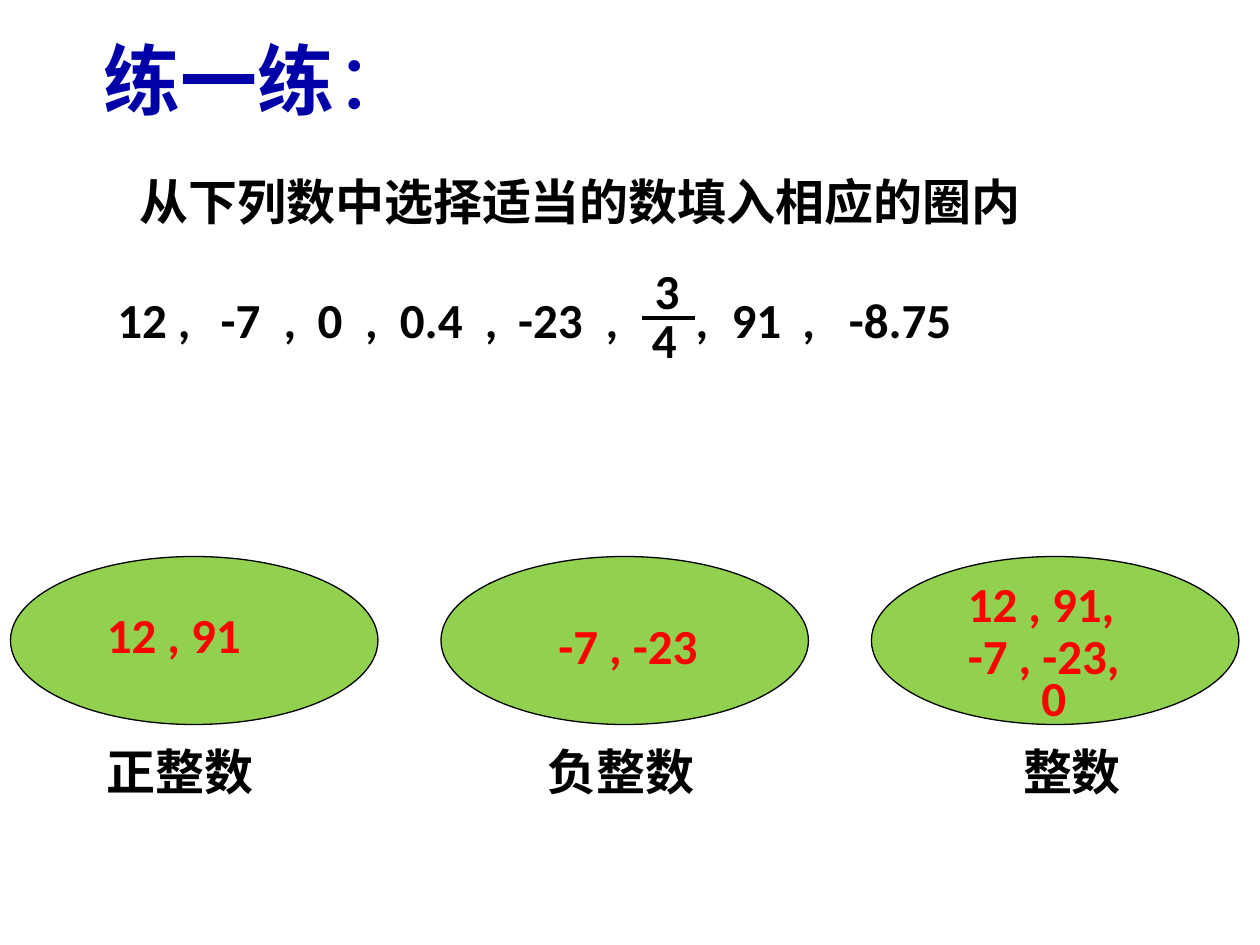
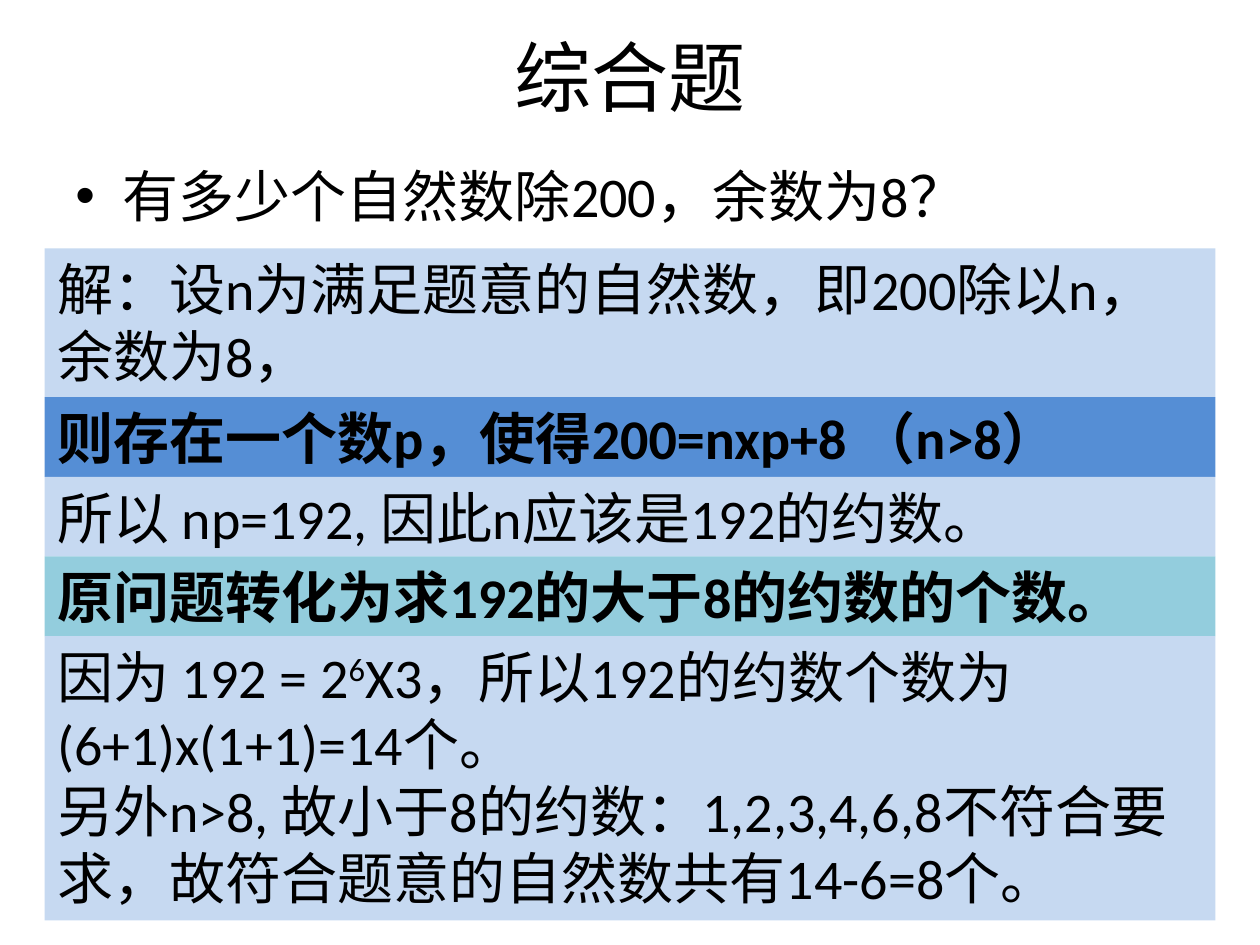
import pptx
import pptx.dml.color
import pptx.enum.shapes
import pptx.enum.text
import pptx.util
import lxml.etree

Pt = pptx.util.Pt
SHAPE = pptx.enum.shapes.MSO_SHAPE
ANCHOR = pptx.enum.text.MSO_ANCHOR
ALIGN = pptx.enum.text.PP_ALIGN
A = "{http://schemas.openxmlformats.org/drawingml/2006/main}"

FONT = "Calibri"
BLACK, NAVY, RED, GREEN = "000000", "0000A8", "FF0000", "92D050"
PALE, BLUE, TEAL = "C6D9F1", "558ED5", "93CDDD"


def rgb(value):
    return pptx.dml.color.RGBColor.from_string(value)


def add_text(s, paragraphs, x, y, w, h, size=28, color=BLACK, bold=False,
             fill=None, wrap=True, title=False):
    """Each paragraph is a list of (text, changes) runs; fill makes it a band."""
    if fill:
        sp = s.shapes.add_shape(SHAPE.RECTANGLE, Pt(x), Pt(y), Pt(w), Pt(h))
        sp.shadow.inherit = False
        sp.fill.solid()
        sp.fill.fore_color.rgb = rgb(fill)
        sp.line.fill.background()
    else:
        sp = s.shapes.add_textbox(Pt(x), Pt(y), Pt(w), Pt(h))
    tf = sp.text_frame
    tf.word_wrap = wrap
    tf.vertical_anchor = ANCHOR.MIDDLE if title else ANCHOR.TOP
    for i, runs in enumerate(paragraphs):
        p = tf.add_paragraph() if i else tf.paragraphs[0]
        p.alignment = ALIGN.CENTER if title else ALIGN.LEFT
        for text, changes in runs:
            r = p.add_run()
            r.text = text
            r.font.name = FONT
            r.font.size = Pt(size)
            r.font.bold = changes.get("bold", bold)
            r.font.color.rgb = rgb(color)
            if changes.get("superscript"):
                r.font._element.set("baseline", "30000")
    return tf


prs = pptx.Presentation()
prs.slide_width, prs.slide_height = Pt(720), Pt(540)
blank = prs.slide_layouts[6]
title_style = dict(size=44, title=True)

# Slide 1: sorting numbers into ovals
s = prs.slides.add_slide(blank)
add_text(s, [[("练一练", {}), ("：", {"bold": False})]], 25, 0, 245, 90,
         color=NAVY, bold=True, **title_style)

# Task and number row, the numbers and commas set on tab stops
numbers = "12 ,\t-7\t,\t0\t,\t0.4\t,\t-23\t,\t,\t91\t,\t-8.75"
tf = add_text(s, [[("从下列数中选择适当的数填入相应的圈内", {})], [(numbers, {})]],
              60, 94.5, 612, 108.5, bold=True)
task, row = tf.paragraphs
task._p.get_or_add_pPr().set("indent", str(Pt(12.7)))
row.space_before = Pt(34)
tabs = lxml.etree.SubElement(row._p.get_or_add_pPr(), A + "tabLst")
for stop in (59, 95, 114.5, 141.5, 161.5, 210, 229, 279, 330.5, 351, 391.5, 418):
    lxml.etree.SubElement(tabs, A + "tab", pos=str(Pt(stop)), algn="l")

# Fraction three quarters
add_text(s, [[("3", {})]], 367, 145.5, 30, 41, bold=True, wrap=False)
add_text(s, [[("4", {})]], 365.5, 173.5, 30, 41, bold=True, wrap=False)
bar = s.shapes.add_connector(pptx.enum.shapes.MSO_CONNECTOR.STRAIGHT,
                             Pt(367), Pt(181.5), Pt(397), Pt(181.5))
bar.line.color.rgb = rgb(BLACK)
bar.line.width = Pt(2.25)
lxml.etree.SubElement(bar._element.spPr, A + "effectLst")

# Ovals with their names: (name, left, width)
names = [("正整数", 54, 98.5), ("负整数", 306, 98.5), ("整数", 577.5, 70.5)]
for i, (name, x, w) in enumerate(names):
    oval = s.shapes.add_shape(SHAPE.OVAL, Pt(6 + 246 * i), Pt(318), Pt(210), Pt(96))
    oval.shadow.inherit = False
    oval.fill.solid()
    oval.fill.fore_color.rgb = rgb(GREEN)
    oval.line.color.rgb = rgb(BLACK)
    oval.line.width = Pt(0.75)
    add_text(s, [[(name, {})]], x, 420, w, 41, bold=True, wrap=False)

# Answers: (text, left, top, width)
answers = [("12 , 91", 54, 342, 92), ("-7 , -23", 312, 348, 95),
           ("12 , 91,", 546, 324, 99.5), ("-7 , -23,", 546, 354, 114),
           ("0", 588, 378, 29)]
for text, x, y, w in answers:
    add_text(s, [[(text, {})]], x, y, w, 41, color=RED, bold=True, wrap=False)

# Slide 2: worked problem
s = prs.slides.add_slide(blank)
add_text(s, [[("综合题", {})]], 36, -2, 648, 90, **title_style)

# Question with a bullet
tf = add_text(s, [[("有多少个自然数除200，余数为8？", {})]], 36, 88.5, 648, 53.5, size=32)
pPr = tf.paragraphs[0]._p.get_or_add_pPr()
pPr.set("marL", str(Pt(27)))
pPr.set("indent", str(Pt(-27)))
lxml.etree.SubElement(pPr, A + "buFont", typeface="Arial")
lxml.etree.SubElement(pPr, A + "buChar", char="•")

# Solution steps stacked as bands: (fill, bold, height, paragraphs)
steps = [
    (PALE, False, 85, [[("解：设n为满足题意的自然数，即200除以n，余数为8，", {})]]),
    (BLUE, True, 45.5, [[("则存在一个数p，使得200=nxp+8 （n>8）", {})]]),
    (PALE, False, 45.5, [[("所以 np=192, 因此n应该是192的约数。", {})]]),
    (TEAL, True, 45.5, [[("原问题转化为求192的大于8的约数的个数。", {})]]),
    (PALE, False, 162.5, [
        [("因为 192 = 2", {}), ("6", {"superscript": True}),
         ("X3，所以192的约数个数为(6+1)x(1+1)=14个。", {})],
        [("另外n>8, 故小于8的约数：1,2,3,4,6,8不符合要求，"
          "故符合题意的自然数共有14-6=8个。", {})]]),
]
top = 142
for fill, bold, height, paragraphs in steps:
    add_text(s, paragraphs, 25.5, top, 669, height, size=32, bold=bold, fill=fill)
    top += height

prs.save("out.pptx")
